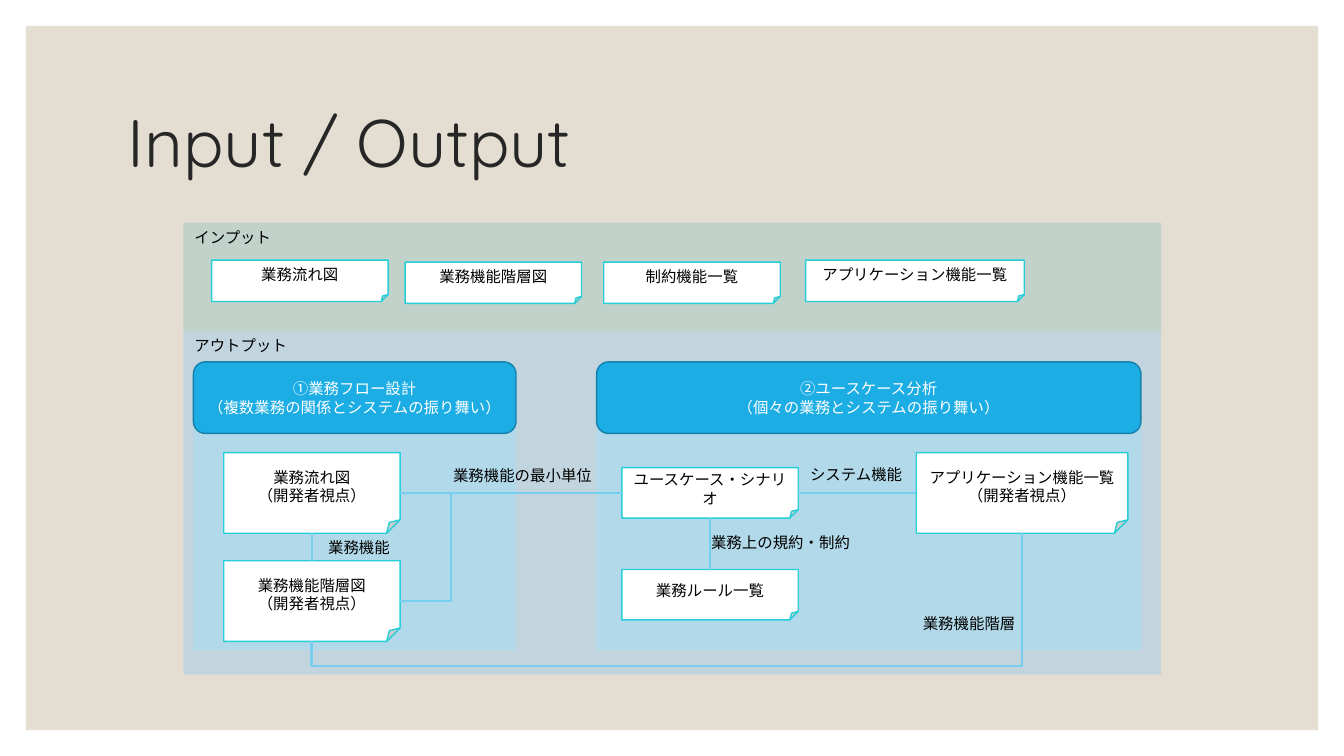
"""Build the Input / Output slide: input documents, two design stages and their links."""
from lxml import etree
from pptx import Presentation
from pptx.dml.color import RGBColor
from pptx.enum.shapes import MSO_CONNECTOR as CONN, MSO_SHAPE as SHAPE
from pptx.enum.text import MSO_ANCHOR as ANCHOR, PP_ALIGN as ALIGN
from pptx.oxml.ns import qn
from pptx.util import Pt

BEIGE = RGBColor(0xE3, 0xDE, 0xD1)
GREEN = RGBColor(0xA1, 0xC8, 0xC5)
BLUE = RGBColor(0xA3, 0xCE, 0xED)
PALE = RGBColor(0xA4, 0xDE, 0xF4)
HEADER = RGBColor(0x1C, 0xAD, 0xE4)
HEADER_EDGE = RGBColor(0x15, 0x80, 0xA9)
DOC_EDGE = RGBColor(0x27, 0xCE, 0xD7)
WIRE = RGBColor(0x77, 0xCE, 0xEF)
WHITE = RGBColor(0xFF, 0xFF, 0xFF)
BLACK = RGBColor(0, 0, 0)
DARK = RGBColor(0x26, 0x26, 0x26)


def add_box(kind, at, fill, edge=None, alpha=None):
    sp = s.shapes.add_shape(kind, *map(Pt, at))
    sp.shadow.inherit = False
    sp.fill.solid()
    sp.fill.fore_color.rgb = fill
    if edge is None:
        sp.line.fill.background()
    else:
        sp.line.color.rgb = edge
        sp.line.width = Pt(1)
    if alpha:
        clr = sp.fill._xPr.find(qn("a:solidFill"))[0]
        etree.SubElement(clr, qn("a:alpha"), val=str(alpha * 1000))
    return sp


def add_text(sp, lines, color=BLACK, size=11, name="Quicksand",
             align=ALIGN.CENTER, anchor=ANCHOR.MIDDLE, spacing=None):
    tf = sp.text_frame
    tf.word_wrap = True
    tf.vertical_anchor = anchor
    for i, line in enumerate(lines):
        p = tf.paragraphs[0] if i == 0 else tf.add_paragraph()
        p.alignment = align
        p.line_spacing = spacing
        r = p.add_run()
        r.text = line
        r.font.color.rgb = color
        for key, value in {"size": Pt(size), "name": name}.items():
            setattr(r.font, key, value)
        etree.SubElement(r.font._element, qn("a:ea"), typeface=name)


prs = Presentation()
prs.slide_width, prs.slide_height = Pt(960), Pt(540)
s = prs.slides.add_slide(prs.slide_layouts[6])

add_box(SHAPE.RECTANGLE, (18.5, 18.5, 923, 503), BEIGE)
title = s.shapes.add_textbox(*map(Pt, (84.2, 50.4, 792, 108)))
add_text(title, ["Input / Output"], DARK, 48, align=ALIGN.LEFT, spacing=0.9)

bands = [
    ("インプット", 159.1, 77.8, GREEN, "Arial"),
    ("アウトプット", 236.9, 244.8, BLUE, "Quicksand"),
]
for label, top, height, fill, name in bands:
    add_box(SHAPE.RECTANGLE, (131, top, 698.4, height), fill, alpha=50)
    tb = s.shapes.add_textbox(*map(Pt, (131.8, top, 113, 31)))
    add_text(tb, [label], name=name, align=ALIGN.LEFT, anchor=ANCHOR.TOP)

stages = [
    (138.2, 230.4, ["①業務フロー設計", "（複数業務の関係とシステムの振り舞い）"]),
    (426.2, 388.8, ["②ユースケース分析", "（個々の業務とシステムの振り舞い）"]),
]
for left, width, lines in stages:
    add_box(SHAPE.RECTANGLE, (left, 306, width, 158.4), PALE, alpha=50)
    header = add_box(SHAPE.ROUNDED_RECTANGLE, (left, 258.5, width, 51.1), HEADER, HEADER_EDGE)
    add_text(header, lines, WHITE)

VIEW = "（開発者視点）"
documents = [
    ((151.2, 185.8, 126, 29.5), ["業務流れ図"], ANCHOR.TOP),
    ((289.4, 187.2, 126, 29.5), ["業務機能階層図"], ANCHOR.TOP),
    ((431.3, 187.2, 126, 29.5), ["制約機能一覧"], ANCHOR.TOP),
    ((575.5, 185.8, 156.2, 29.5), ["アプリケーション機能一覧"], ANCHOR.TOP),
    ((444.2, 334.1, 126, 36), ["ユースケース・シナリオ"], ANCHOR.MIDDLE),
    ((444.2, 406.8, 126, 36), ["業務ルール一覧"], ANCHOR.MIDDLE),
    ((159.8, 323.3, 126, 57.6), ["業務流れ図", VIEW], ANCHOR.MIDDLE),
    ((159.8, 400.6, 126, 57.6), ["業務機能階層図", VIEW], ANCHOR.MIDDLE),
    ((654.5, 323.3, 151.2, 57.6), ["アプリケーション機能一覧", VIEW], ANCHOR.MIDDLE),
]
for at, lines, anchor in documents:
    add_text(add_box(SHAPE.FOLDED_CORNER, at, WHITE, DOC_EDGE), lines, anchor=anchor)

links = [
    ((570.2, 352.1, 654.5, 352.1), None, 0),
    ((222.8, 380.9, 222.8, 400.6), None, 0),
    ((444.2, 352.1, 285.8, 352.1), None, 0),
    ((507.2, 370.1, 507.2, 406.8), None, 0),
    ((444.2, 352.1, 285.8, 429.4), 77200, 0),
    ((514.8, 673.2, 437.8, 165.6), -23400, 90),
]
for ends, bend, turn in links:
    kind = CONN.STRAIGHT if bend is None else CONN.ELBOW
    cn = s.shapes.add_connector(kind, *map(Pt, ends))
    cn.line.color.rgb = WIRE
    cn.line.width = Pt(1.5)
    sp_pr = cn._element.spPr
    etree.SubElement(sp_pr, qn("a:effectLst"))
    if bend is not None:
        guides = sp_pr.find(qn("a:prstGeom")).find(qn("a:avLst"))
        etree.SubElement(guides, qn("a:gd"), name="adj1", fmla=f"val {bend}")
    if turn:
        sp_pr.find(qn("a:xfrm")).set("rot", str(turn * 60000))

link_labels = [
    ("業務機能の最小単位", 307.4, 324, 131.8),
    ("業務機能", 200, 375.8, 113),
    ("システム機能", 555.1, 323.3, 113),
    ("業務上の規約・制約", 493.9, 372.2, 127.4),
    ("業務機能階層", 635.8, 429.8, 113),
]
for label, left, top, width in link_labels:
    add_text(s.shapes.add_textbox(*map(Pt, (left, top, width, 31))), [label])

prs.save("out.pptx")
